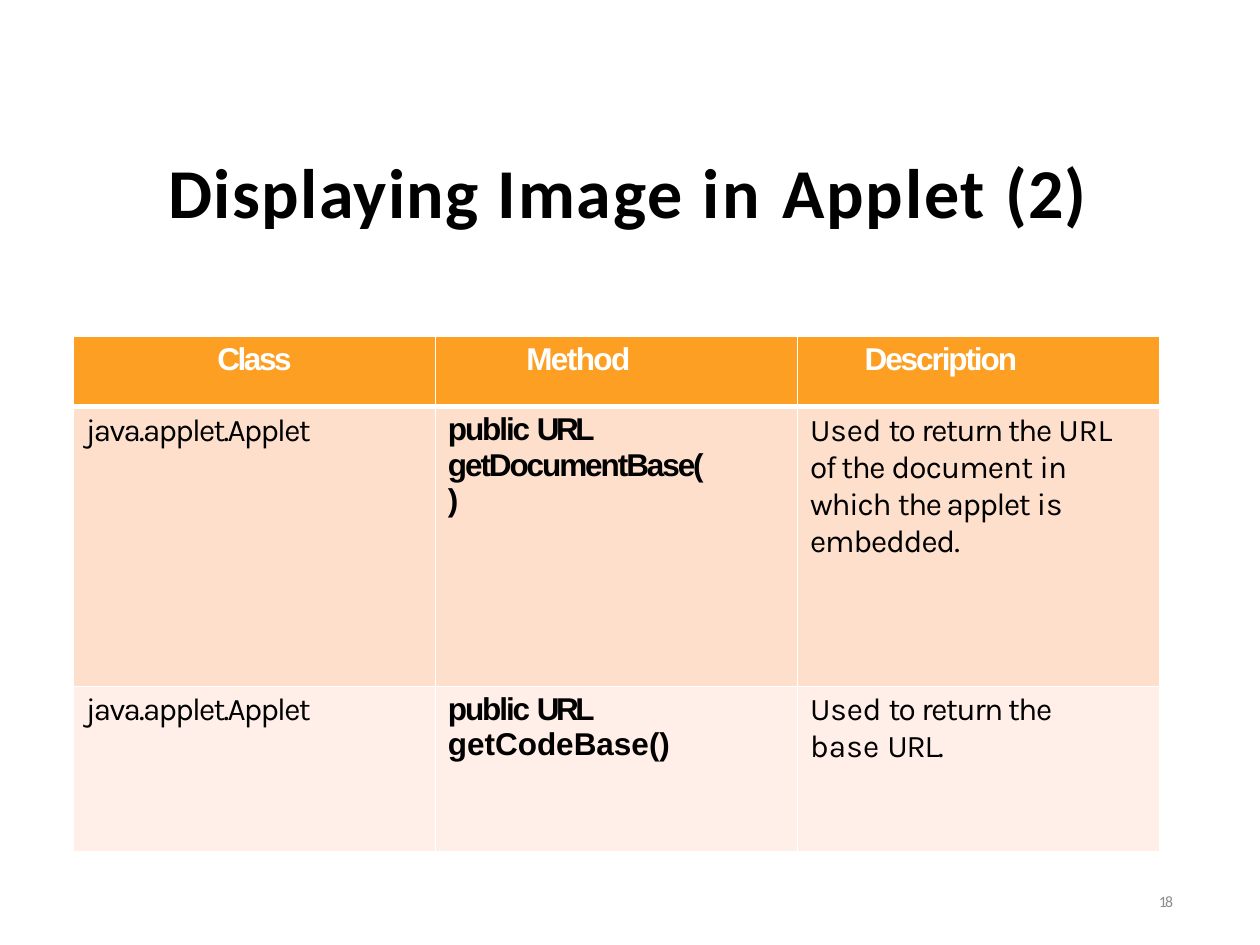
"""Build the slide on displaying images in an applet, with its method table."""
import dataclasses

import lxml.etree
import pptx
import pptx.dml.color
import pptx.enum.text
import pptx.oxml.ns
import pptx.util

Cm = pptx.util.Cm
Align = pptx.enum.text.PP_ALIGN
Anchor = pptx.enum.text.MSO_ANCHOR


@dataclasses.dataclass(frozen=True)
class Theme:
    title_font: str = "Calibri"
    code_font: str = "Arial"
    body_font: str = "Karla"
    title_size: int = 40
    table_size: int = 18
    number_size: int = 9
    ink: str = "000000"
    white: str = "FFFFFF"
    grey: str = "8C8C8C"
    row_fills: tuple = ("FC9F22", "FDDFCC", "FFEFE8")


theme = Theme()


def add_text(paragraph, text, *, font, size, color, bold=False, spacing=0):
    run = paragraph.add_run()
    run.text = text
    run.font.name = font
    run.font.size = pptx.util.Pt(size)
    run.font.bold = bold
    run.font.color.rgb = pptx.dml.color.RGBColor.from_string(color)
    run.font._element.set("spc", str(round(spacing * 100)))


def add_border(cell, position, side, width):
    line = lxml.etree.Element(pptx.oxml.ns.qn(f"a:ln{side}"), w=str(pptx.util.Pt(width)))
    fill = lxml.etree.SubElement(line, pptx.oxml.ns.qn("a:solidFill"))
    lxml.etree.SubElement(fill, pptx.oxml.ns.qn("a:srgbClr"), val=theme.white)
    cell._tc.get_or_add_tcPr().insert(position, line)


presentation = pptx.Presentation()
presentation.slide_width, presentation.slide_height = Cm(25.4), Cm(19.05)
slide = presentation.slides.add_slide(presentation.slide_layouts[6])

title_runs = [("Displaying ", 0.8), ("Image ", 1.1), ("in ", 1.7), ("Applet ", 1.1), ("(2)", 0.7)]
title_format = dict(font=theme.title_font, size=theme.title_size, color=theme.ink, bold=True)
number_format = dict(font=theme.title_font, size=theme.number_size, color=theme.grey)
text_boxes = [
    ((3.4, 2.97, 18.7, 1.75), title_runs, Align.LEFT, title_format),
    ((17.93, 17.65, 5.72, 1.02), [("18", -1)], Align.RIGHT, number_format),
]
for place, runs, alignment, text_format in text_boxes:
    frame = slide.shapes.add_textbox(*map(Cm, place)).text_frame
    frame.word_wrap = True
    frame.vertical_anchor = Anchor.MIDDLE
    frame.margin_left = frame.margin_top = frame.margin_right = frame.margin_bottom = 0
    paragraph = frame.paragraphs[0]
    paragraph.alignment = alignment
    for text, spacing in runs:
        add_text(paragraph, text, spacing=spacing, **text_format)

header_format = dict(font=theme.code_font, size=theme.table_size, color=theme.white, bold=True)
class_format = dict(font=theme.body_font, size=theme.table_size, color=theme.ink)
method_format = dict(class_format, font=theme.code_font, bold=True)
column_formats = [class_format, method_format, class_format]

class_name = [[("java.applet.Applet", -1)]]
signature = [("public ", -1.2), ("URL ", -2)]
opening = [("Used ", -0.1), ("to ", -1.1), ("return the ", -0.8)]
rows = [
    [[[("Class", -1.4)]], [[("Method", -0.9)]], [[("Description", -1.2)]]],
    [
        class_name,
        [signature + [("getDocumentBase(", -1.2)], [(")", 0)]],
        [opening + [("URL ", -0.2), ("of the ", -0.8), ("document ", -0.5), ("in ", -0.6),
                    ("which ", -0.7), ("the applet ", -0.8), ("is ", -0.1), ("embedded.", -0.6)]],
    ],
    [
        class_name,
        [signature + [("getCodeBase()", 0)]],
        [opening + [("base ", 0.1), ("URL.", -0.7)]],
    ],
]
row_heights = [1.42, 5.64, 3.33]
column_width = 7.3
header_indents = [0, 1.83, 1.35]
body_indent = 0.25
right_margins = [0, 0, 0.68]

table = slide.shapes.add_table(
    3, 3, Cm(1.48), Cm(6.78), Cm(3 * column_width), Cm(sum(row_heights))
).table
for column in table.columns:
    column.width = Cm(column_width)

for row_index, row in enumerate(rows):
    table.rows[row_index].height = Cm(row_heights[row_index])
    is_header = row_index == 0
    top_width = 3 if row_index == 1 else 1
    bottom_width = 3 if is_header else 1
    for column_index, paragraphs in enumerate(row):
        cell = table.cell(row_index, column_index)
        cell.fill.solid()
        cell.fill.fore_color.rgb = pptx.dml.color.RGBColor.from_string(theme.row_fills[row_index])
        for position, (side, width) in enumerate(zip("LRTB", (1, 1, top_width, bottom_width))):
            add_border(cell, position, side, width)
        cell.margin_left = Cm(header_indents[column_index] if is_header else body_indent)
        cell.margin_right = Cm(0 if is_header else right_margins[column_index])
        cell.margin_top, cell.margin_bottom = Cm(0.11), 0
        text_format = header_format if is_header else column_formats[column_index]
        for paragraph_index, runs in enumerate(paragraphs):
            frame = cell.text_frame
            paragraph = frame.add_paragraph() if paragraph_index else frame.paragraphs[0]
            paragraph.space_before = pptx.util.Pt(0 if paragraph_index else 3.2)
            paragraph.alignment = Align.CENTER if is_header and column_index == 0 else Align.LEFT
            for text, spacing in runs:
                add_text(paragraph, text, spacing=spacing, **text_format)

presentation.save("out.pptx")
